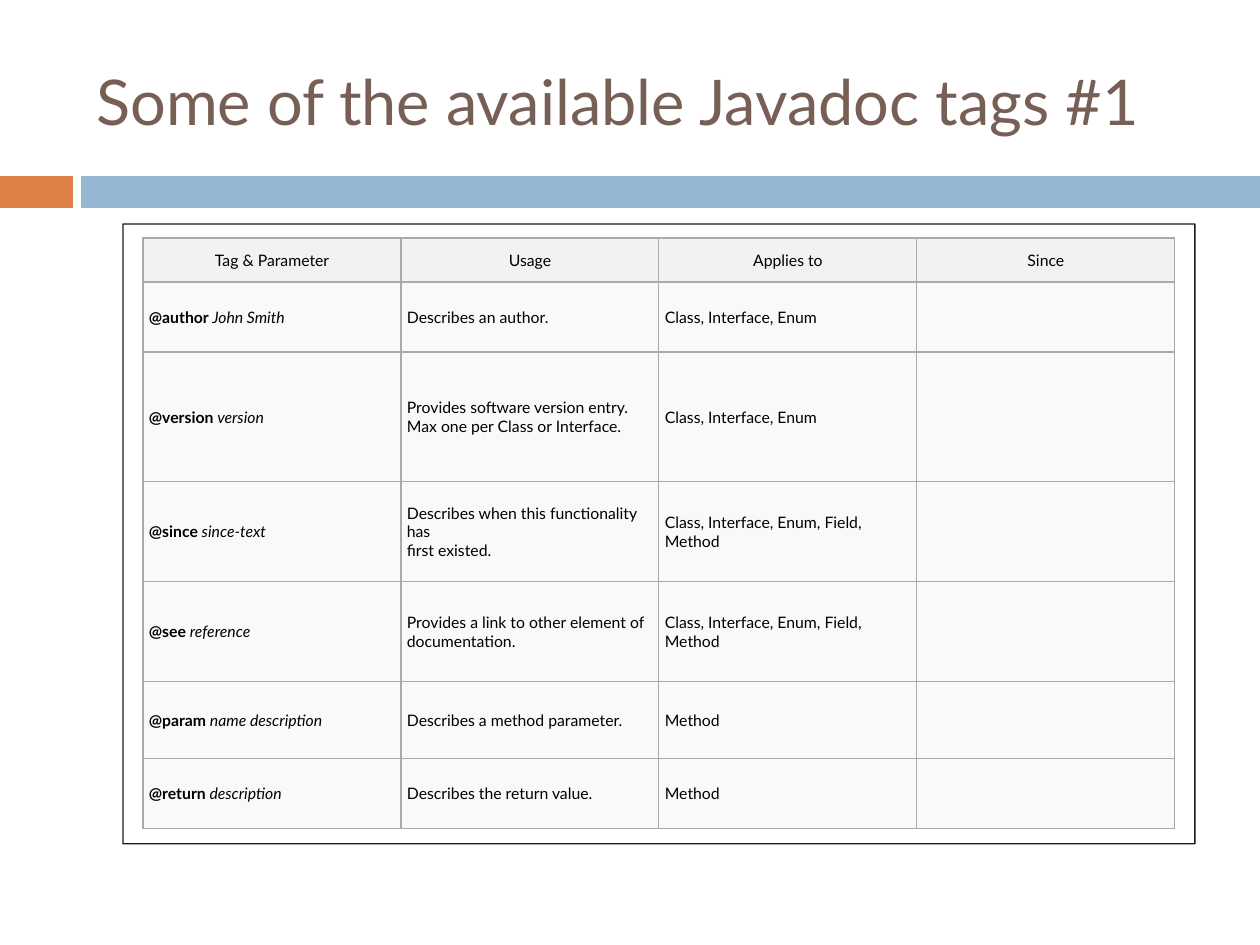
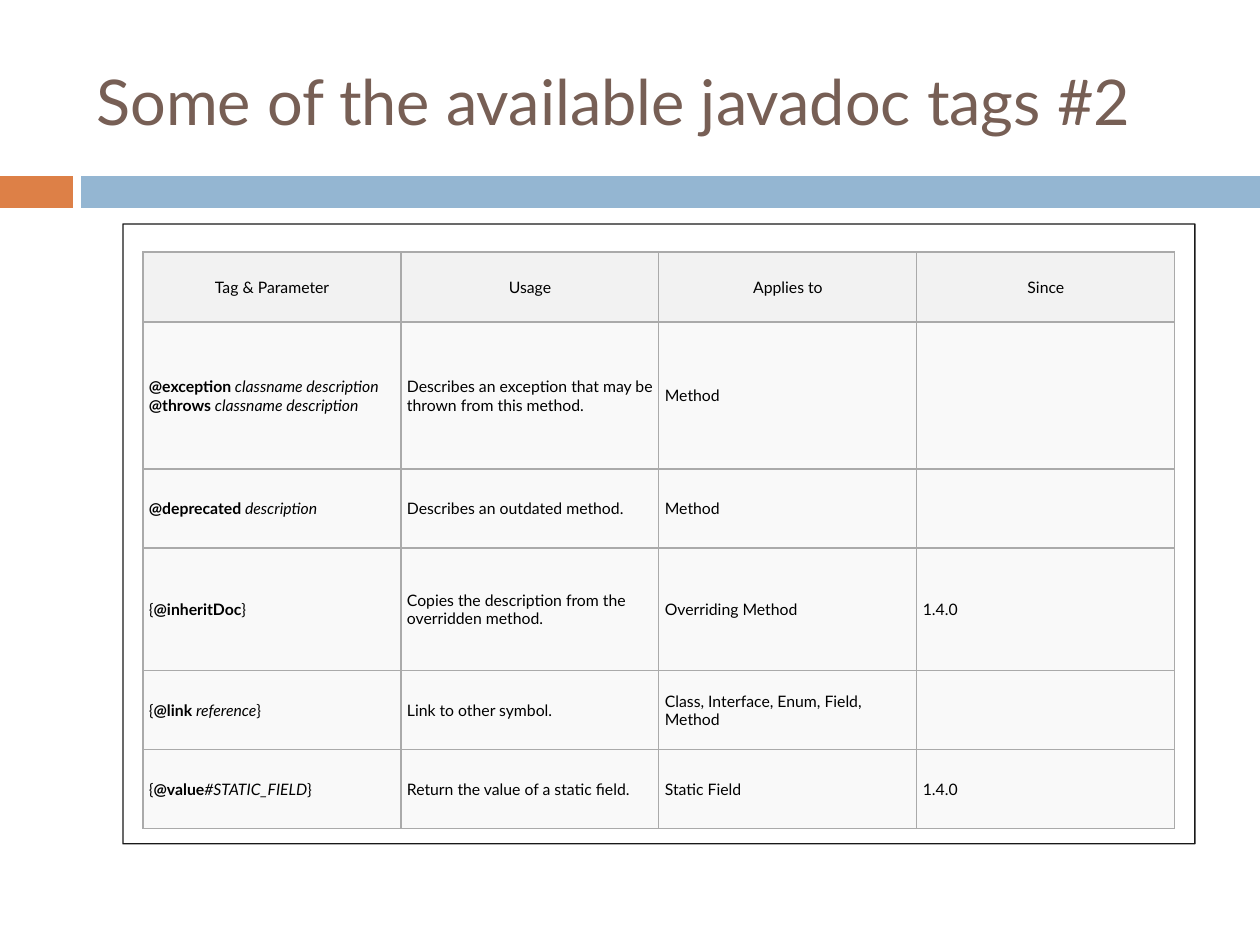
from lxml.etree import SubElement
from pptx import Presentation
from pptx.dml.color import RGBColor
from pptx.enum.shapes import MSO_SHAPE as Shape
from pptx.enum.text import MSO_ANCHOR as Anchor, PP_ALIGN as Align
from pptx.oxml import parse_xml
from pptx.oxml.ns import nsdecls, qn
from pptx.util import Emu, Pt

SCALE = 914400 // 126  # EMU per pixel
FONT = "Lato"
COLORS = {
    "title": "775F55", "accent": "DD8047", "band": "94B6D2",
    "text": "000000", "frame": "000000", "border": "AAAAAA",
    "header": "F2F2F2", "body": "F9F9F9",
}

# Boxes as left, top, width, height
SLIDE_WIDTH, SLIDE_HEIGHT = 1260, 945
TITLE_BOX = (84, 32, 1124, 136)
BAND_BOX = (0, 176, SLIDE_WIDTH, 32)
FRAME_BOX = (123, 224, 1072, 620)
CELL_MARGINS = (6, 3)

HEADERS = ["Tag & Parameter", "Usage", "Applies to", "Since"]
TYPES = "Class, Interface, Enum"
MEMBERS = TYPES + ", Field, Method"


def px(value):
    return Emu(round(value * SCALE))


def color(name):
    return RGBColor.from_string(COLORS[name])


def write_text(frame, text, size=9, fill="text", align=Align.LEFT):
    """Fill a frame with paragraphs, each a string or a list of (text, style) runs."""
    frame.word_wrap = True
    for index, content in enumerate(text):
        paragraph = frame.paragraphs[0] if index == 0 else frame.add_paragraph()
        paragraph.alignment = align
        runs = [(content, "")] if isinstance(content, str) else content
        for words, style in runs:
            if words == "\n":
                paragraph.add_line_break()
                continue
            run = paragraph.add_run()
            run.text = words
            run.font.name, run.font.size = FONT, Pt(size)
            run.font.color.rgb = color(fill)
            run.font.bold, run.font.italic = style == "bold", style == "italic"


def add_rectangle(slide, box, fill=None, line=None):
    shape = slide.shapes.add_shape(Shape.RECTANGLE, *map(px, box))
    shape.shadow.inherit = False
    if fill:
        shape.fill.solid()
        shape.fill.fore_color.rgb = color(fill)
    else:
        shape.fill.background()
    if line:
        shape.line.width = Pt(0.75)
        shape.line.color.rgb = color(line)
    else:
        shape.line.fill.background()
    return shape


def add_band(slide, box):
    left, top, width, height = box
    accent_width, gap = 73, 8
    offset = accent_width + gap
    add_rectangle(slide, (left, top, accent_width, height), fill="accent")
    add_rectangle(slide, (left + offset, top, width - offset, height), fill="band")


def add_title(slide, box, title):
    frame = slide.shapes.add_textbox(*map(px, box)).text_frame
    frame.vertical_anchor = Anchor.MIDDLE
    write_text(frame, [title], size=36, fill="title")


def style_cell(cell, fill):
    # Borders come before the fill in the cell's properties
    properties = cell._tc.get_or_add_tcPr()
    for side in "LRTB":
        properties.append(parse_xml(
            f'<a:ln{side} {nsdecls("a")} w="{Pt(0.75)}"><a:solidFill>'
            f'<a:srgbClr val="{COLORS["border"]}"/></a:solidFill></a:ln{side}>'))
    cell.fill.solid()
    cell.fill.fore_color.rgb = color(fill)
    cell.vertical_anchor = Anchor.MIDDLE
    cell.margin_left = cell.margin_right = px(CELL_MARGINS[0])
    cell.margin_top = cell.margin_bottom = px(CELL_MARGINS[1])


def add_tag_table(slide, box, rows, heights):
    """Draw the frame, and a table that ends 15 pixels above its bottom."""
    frame = add_rectangle(slide, box, line="frame")
    line_color = frame.line._ln.find(".//" + qn("a:srgbClr"))
    SubElement(line_color, qn("a:alpha"), val="90000")

    left, top, width, height = box
    inset, bottom_gap, column_width = 20, 15, 258
    table_height = sum(heights)
    table_box = (left + inset, top + height - bottom_gap - table_height,
                 column_width * len(HEADERS), table_height)
    table = slide.shapes.add_table(len(heights), len(HEADERS), *map(px, table_box)).table
    table.first_row = table.horz_banding = False
    for column in table.columns:
        column.width = px(column_width)
    for row, row_height in zip(table.rows, heights):
        row.height = px(row_height)

    header = [[name] for name in HEADERS]
    for row_index, values in enumerate([header] + rows):
        is_header = row_index == 0
        for column_index, text in enumerate(values):
            cell = table.cell(row_index, column_index)
            style_cell(cell, "header" if is_header else "body")
            write_text(cell.text_frame, text,
                       align=Align.CENTER if is_header else Align.LEFT)


def tag(name, parameter):
    return [(f"{name}\u00a0", "bold"), (parameter, "italic")]


def inline_tag(*runs):
    return [("{", ""), *runs, ("}", "")]


def entry(tag_runs, usage, applies_to, since=None):
    return [[tag_runs], usage, [applies_to], [since] if since else []]


SLIDES = [
    ("Some of the available Javadoc tags #1", [44, 70, 130, 100, 100, 77, 70], [
        entry(tag("@author", "John Smith"), ["Describes an author."], TYPES),
        entry(tag("@version", "version"),
              ["Provides software version entry.", "Max one per Class or Interface."], TYPES),
        entry(tag("@since", "since-text"),
              ["Describes when this functionality has", "first existed."], MEMBERS),
        entry(tag("@see", "reference"),
              ["Provides a link to other element of", "documentation."], MEMBERS),
        entry(tag("@param", "name description"), ["Describes a method parameter."], "Method"),
        entry(tag("@return", "description"), ["Describes the return value."], "Method"),
    ]),
    ("Some of the available javadoc tags #2", [70, 147, 79, 123, 79, 79], [
        entry(tag("@exception", "classname description") + [("\n", "")]
              + tag("@throws", "classname description"),
              ["Describes an exception that may be", "thrown from this method."], "Method"),
        entry(tag("@deprecated", "description"), ["Describes an outdated method."], "Method"),
        entry(inline_tag(("@inheritDoc", "bold")),
              ["Copies the description from the", "overridden method."],
              "Overriding Method", "1.4.0"),
        entry(inline_tag(*tag("@link", "reference")), ["Link to other symbol."], MEMBERS),
        entry(inline_tag(("@value", "bold"), ("#STATIC_FIELD", "italic")),
              ["Return the value of a static field."], "Static Field", "1.4.0"),
    ]),
]

presentation = Presentation()
presentation.slide_width, presentation.slide_height = px(SLIDE_WIDTH), px(SLIDE_HEIGHT)
for title, heights, rows in SLIDES:
    slide = presentation.slides.add_slide(presentation.slide_layouts[6])
    add_band(slide, BAND_BOX)
    add_title(slide, TITLE_BOX, title)
    add_tag_table(slide, FRAME_BOX, rows, heights)
presentation.save("out.pptx")
